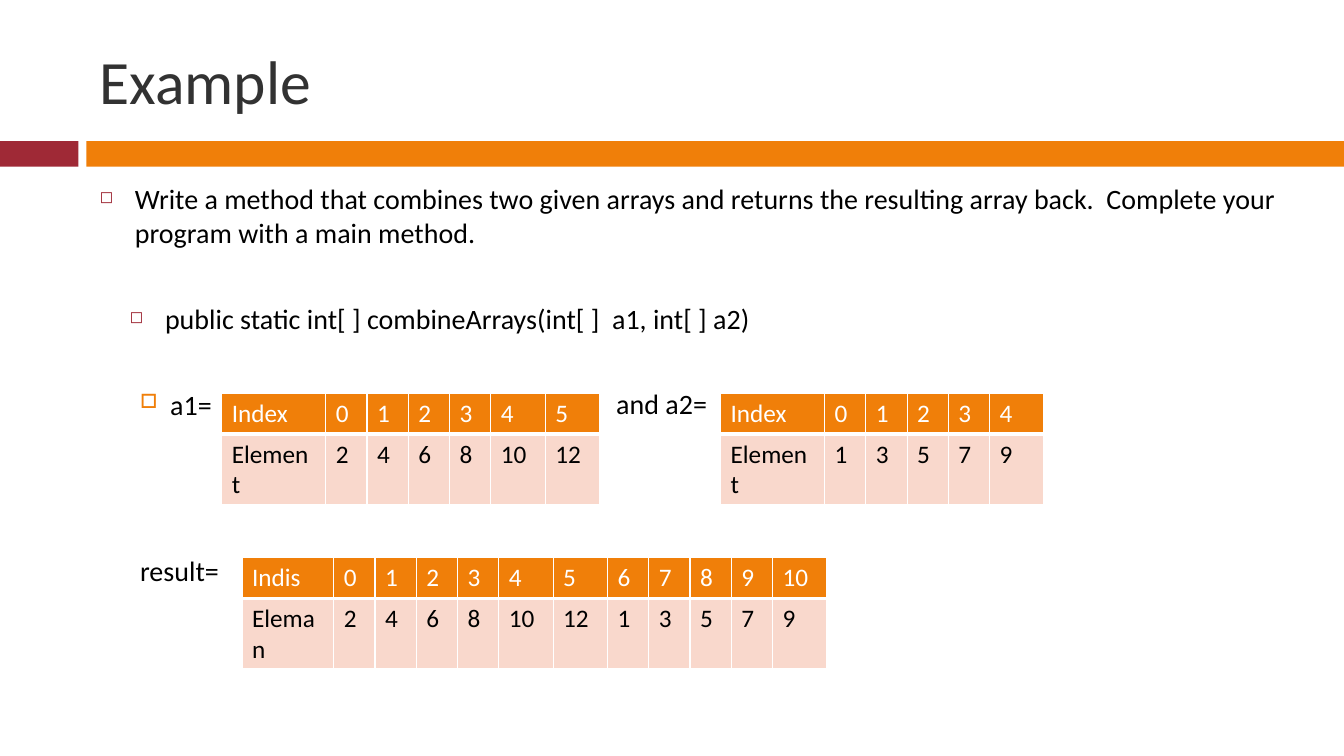
from dataclasses import dataclass

from lxml.etree import SubElement
from pptx import Presentation
from pptx.dml.color import RGBColor
from pptx.enum.shapes import MSO_SHAPE
from pptx.enum.text import MSO_ANCHOR
from pptx.oxml.ns import qn
from pptx.util import Cm, Pt


@dataclass(frozen=True)
class Theme:
    """Colours, font and type sizes of the slide."""
    font: str = "Calibri"
    orange: str = "F07F09"
    red: str = "9F2936"
    pink: str = "F9D8CC"
    white: str = "FFFFFF"
    black: str = "000000"
    title: str = "323232"
    title_size: int = 44
    body_size: int = 20
    cell_size: int = 18


@dataclass(frozen=True)
class Bullet:
    """Bullet character, colour and size in percent of the text."""
    char: str
    color: str
    percent: int


@dataclass(frozen=True)
class Line:
    """Paragraph with its gap above (pt) and its indents (cm)."""
    text: str
    before: float = 0
    margin: float = 0
    hanging: float = 0
    bullet: Bullet | None = None


@dataclass(frozen=True)
class ArrayTable:
    """An array drawn as a row of indexes over a row of elements."""
    left: float
    top: float
    label_width: float
    labels: tuple[str, str]
    values: tuple[int, ...]


THEME = Theme()
NARROW, WIDE, ROW_HEIGHT = 1.04, 1.37, 1.03
WIDE_INDEXES = (4, 5, 10)
BODY_LEFT, BODY_TOP, BODY_WIDTH = 2.26, 4.45, 30.2

SQUARE = Bullet("\u25fb", THEME.red, 60)
SMALL_SQUARE = Bullet("\u25a1", THEME.orange, 70)
BODY = [
    Line("Write a method that combines two given arrays and returns the resulting "
         "array back.\u00a0 Complete your program with a main method.",
         0, 0.89, 0.89, SQUARE),
    Line("public static int[ ] combineArrays(int[ ]  a1, int[ ] a2)",
         38, 1.65, 0.89, SQUARE),
    Line("a1=", 37, 1.78, 0.76, SMALL_SQUARE),
    Line("result=", 94.5, 1.02),
]

A1 = (2, 4, 6, 8, 10, 12)
A2 = (1, 3, 5, 7, 9)
TABLES = [
    ArrayTable(5.59, 9.91, 2.62, ("Index", "Element"), A1),
    ArrayTable(6.1, 14.05, 2.31, ("Indis", "Eleman"), A1 + A2),
    ArrayTable(18.16, 9.91, 2.62, ("Index", "Element"), A2),
]


def add_run(p, text: str, size: int, color: str) -> None:
    """Add a formatted run to a paragraph."""
    r = p.add_run()
    r.text = text
    formats = {"name": THEME.font, "size": Pt(size), "bold": False}
    for name, value in formats.items():
        setattr(r.font, name, value)
    r.font.color.rgb = RGBColor.from_string(color)


def add_bullet(p, bullet: Bullet) -> None:
    """Give a paragraph a coloured bullet."""
    pPr = p._p.get_or_add_pPr()
    color = SubElement(pPr, qn("a:buClr"))
    SubElement(color, qn("a:srgbClr"), val=bullet.color)
    SubElement(pPr, qn("a:buSzPct"), val=str(bullet.percent * 1000))
    SubElement(pPr, qn("a:buChar"), char=bullet.char)


def add_text(s, left: float, top: float, width: float, height: float,
             lines: list[Line], size: int, color: str,
             anchor: MSO_ANCHOR = MSO_ANCHOR.TOP) -> None:
    """Add a text box with one paragraph per line."""
    tf = s.shapes.add_textbox(Cm(left), Cm(top), Cm(width), Cm(height)).text_frame
    for name, value in {"word_wrap": True, "vertical_anchor": anchor}.items():
        setattr(tf, name, value)
    for i, line in enumerate(lines):
        p = tf.add_paragraph() if i else tf.paragraphs[0]
        p.space_before = Pt(line.before)
        pPr = p._p.get_or_add_pPr()
        pPr.set("marL", str(Cm(line.margin)))
        pPr.set("indent", str(-Cm(line.hanging)))
        if line.bullet:
            add_bullet(p, line.bullet)
        add_run(p, line.text, size, color)


def add_band(s, left: float, width: float, color: str) -> None:
    """Add one part of the band under the title."""
    sp = s.shapes.add_shape(MSO_SHAPE.RECTANGLE, Cm(left), Cm(3.56), Cm(width), Cm(0.64))
    sp.shadow.inherit = False
    sp.fill.solid()
    sp.fill.fore_color.rgb = RGBColor.from_string(color)
    sp.line.fill.background()


def style_cell(cell, fill: str, bottom: int) -> None:
    """Fill a cell and give it white borders, the bottom one in its own width."""
    tcPr = cell._tc.get_or_add_tcPr()
    for side, width in {"lnL": 1, "lnR": 1, "lnT": 1, "lnB": bottom}.items():
        ln = SubElement(tcPr, qn(f"a:{side}"), w=str(Pt(width)))
        SubElement(SubElement(ln, qn("a:solidFill")), qn("a:srgbClr"), val=THEME.white)
    cell.fill.solid()
    cell.fill.fore_color.rgb = RGBColor.from_string(fill)


def add_array(s, array: ArrayTable) -> None:
    """Draw an array as a two-row table."""
    count = len(array.values)
    widths = [array.label_width]
    widths += [WIDE if i in WIDE_INDEXES else NARROW for i in range(count)]
    table = s.shapes.add_table(2, count + 1, Cm(array.left), Cm(array.top),
                               Cm(sum(widths)), Cm(2 * ROW_HEIGHT)).table
    table.horz_banding = False
    for column, width in zip(table.columns, widths):
        column.width = Cm(width)
    styles = [(range(count), THEME.orange, THEME.white, 3),
              (array.values, THEME.pink, THEME.black, 1)]
    for row, label, (numbers, fill, color, bottom) in zip(table.rows, array.labels, styles):
        row.height = Cm(ROW_HEIGHT)
        for cell, content in zip(row.cells, (label, *numbers)):
            style_cell(cell, fill, bottom)
            add_run(cell.text_frame.paragraphs[0], str(content), THEME.cell_size, color)


prs = Presentation()
prs.slide_width, prs.slide_height = Cm(33.87), Cm(19.05)
s = prs.slides.add_slide(prs.slide_layouts[6])

add_band(s, 0, 1.98, THEME.red)
add_band(s, 2.18, 31.69, THEME.orange)
add_text(s, BODY_LEFT, 0.64, BODY_WIDTH, 2.74, [Line("Example")],
         THEME.title_size, THEME.title, MSO_ANCHOR.MIDDLE)
add_text(s, BODY_LEFT, BODY_TOP, BODY_WIDTH, 12.5, BODY, THEME.body_size, THEME.black)
add_text(s, 15.28, 9.62, 2.85, 1.1, [Line("and a2=")], THEME.body_size, THEME.black)
for array in TABLES:
    add_array(s, array)

prs.save("out.pptx")
